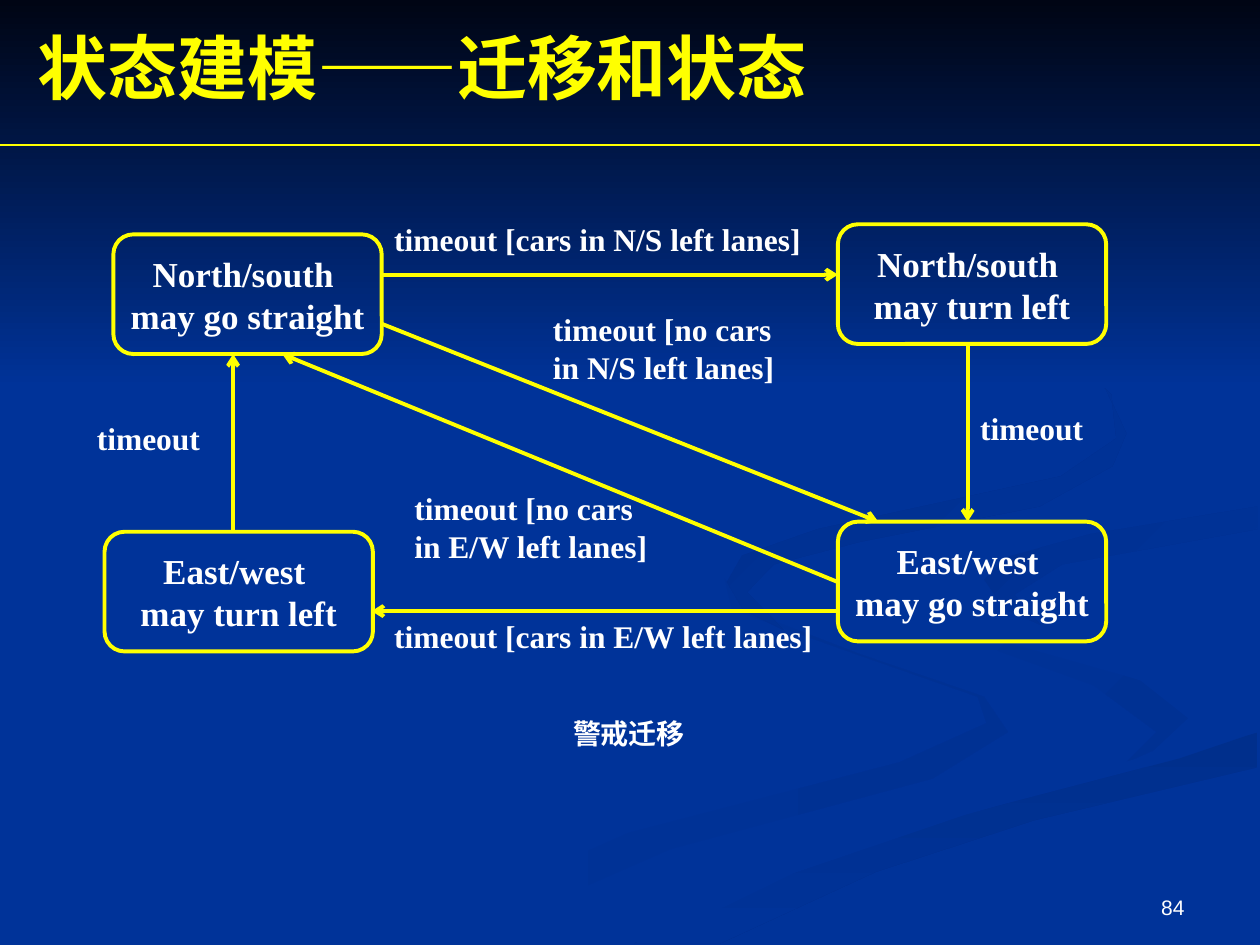
import pptx
import pptx.dml.color
import pptx.enum.dml
import pptx.enum.shapes
import pptx.enum.text
import pptx.oxml
import pptx.oxml.ns
import pptx.util

PX = 9144
WIDTH, HEIGHT = 1000, 750
NAVY, YELLOW, WHITE = "003399", "FFFF00", "FFFFFF"
SERIF, SANS = "Times New Roman", "Arial"
ALIGN = pptx.enum.text.PP_ALIGN
ANCHOR = pptx.enum.text.MSO_ANCHOR

# (start colour, end colour, clockwise angle, outline)
SWOOSHES = [
    (NAVY, "003193", 0, [
        (781, 553), (682, 519), (594, 485), (575, 459), (581, 484), (679, 519),
        (776, 553), (783, 574), (714, 605), (499, 661), (300, 749), (361, 749),
        (532, 674), (740, 618), (800, 581)]),
    (NAVY, "003193", 45, [
        (943, 570), (905, 540), (774, 503), (724, 464), (746, 500), (868, 544),
        (918, 581), (894, 605), (937, 586)]),
    ("002F8C", NAVY, 90, [
        (503, 749), (571, 749), (695, 692), (821, 651), (998, 609), (998, 581),
        (936, 602), (764, 647), (630, 693)]),
    (NAVY, NAVY, 0, [
        (725, 464), (745, 490), (905, 540), (943, 570), (911, 600), (743, 643),
        (619, 684), (477, 749), (519, 747), (630, 693), (765, 647), (999, 581),
        (999, 538), (866, 509), (781, 463), (822, 434), (999, 402), (999, 387),
        (788, 422), (732, 446)]),
    ("003091", NAVY, 45, [
        (781, 460), (797, 483), (826, 496), (805, 472), (843, 448), (998, 420),
        (998, 402), (865, 424), (799, 442)]),
    ("002F8E", NAVY, 45, [
        (683, 430), (825, 402), (883, 370), (894, 344), (873, 299), (821, 261),
        (762, 233), (846, 279), (882, 313), (886, 348), (842, 378), (649, 420),
        (589, 441), (577, 462), (590, 484), (622, 500), (593, 470), (614, 448)]),
    ("000514", NAVY, 90, [(0, 0), (0, 308), (WIDTH, 308), (WIDTH, 0)]),
]
TITLE = [("状态建模", SERIF), ("——", SANS), ("迁移和状态", SERIF)]
STATE_SIZE = (213, 95)
STATES = [
    (90, 186, "North/south ", "may go straight"),
    (83, 422, "East/west ", "may turn left"),
    (665, 178, "North/south ", "may turn left"),
    (665, 414, "East/west ", "may go straight"),
]
TRANSITIONS = [
    (303, 218, 665, 218), (768, 273, 768, 414), (665, 485, 295, 485),
    (185, 422, 185, 281), (303, 257, 697, 414), (665, 462, 224, 281),
]
LABELS = [
    (303, 170, 370, 40, "timeout [cars in N/S left lanes]", 18),
    (768, 320, 118, 40, "timeout", 18),
    (303, 485, 370, 40, "timeout [cars in E/W left lanes]", 18),
    (67, 328, 118, 40, "timeout", 18),
    (429, 241, 213, 70, "timeout [no cars in N/S left lanes]", 18),
    (319, 383, 205, 70, "timeout [no cars in E/W left lanes]", 18),
    (445, 564, 110, 37, "警戒迁移", 16),
]


def px(*lengths):
    """Turn px lengths into EMU."""
    return [pptx.util.Emu(length * PX) for length in lengths]


def color(value):
    """Turn a hex string into a colour."""
    return pptx.dml.color.RGBColor.from_string(value)


def style(paragraph, size, ink, bold=True, name=None, align=ALIGN.LEFT):
    """Set the alignment and font of a paragraph."""
    paragraph.alignment = align
    font = paragraph.font
    font.size, font.bold, font.name = pptx.util.Pt(size), bold, name
    font.color.rgb = color(ink)


def add_text(slide, box, anchor=ANCHOR.TOP):
    """Add a wrapping text box and return its first paragraph."""
    frame = slide.shapes.add_textbox(*px(*box)).text_frame
    frame.word_wrap, frame.vertical_anchor = True, anchor
    return frame.paragraphs[0]


def add_swoosh(slide, start, end, angle, outline):
    """Add a borderless background outline with its fill."""
    builder = slide.shapes.build_freeform(*outline[0], scale=PX)
    builder.add_line_segments(outline[1:], close=True)
    swoosh = builder.convert_to_shape()
    swoosh.shadow.inherit = False
    swoosh.line.fill.background()
    if start == end:
        swoosh.fill.solid()
        swoosh.fill.fore_color.rgb = color(start)
        return
    swoosh.fill.gradient()
    swoosh.fill.gradient_angle = -angle % 360
    for stop, value in zip(swoosh.fill.gradient_stops, (start, end)):
        stop.color.rgb = color(value)


def add_state(slide, left, top, *lines):
    """Add a rounded state box with centred lines."""
    kind = pptx.enum.shapes.MSO_SHAPE.ROUNDED_RECTANGLE
    state = slide.shapes.add_shape(kind, *px(left, top, *STATE_SIZE))
    state.shadow.inherit = False
    state.fill.background()
    state.line.color.rgb = color(YELLOW)
    state.line.width = pptx.util.Pt(2.25)
    frame = state.text_frame
    frame.word_wrap, frame.vertical_anchor = False, ANCHOR.MIDDLE
    frame.text = "\n".join(lines)
    for paragraph in frame.paragraphs:
        style(paragraph, 20, WHITE, name=SERIF, align=ALIGN.CENTER)


def add_line(slide, ends, width, arrow=False):
    """Add a yellow line, with an arrowhead if asked."""
    kind = pptx.enum.shapes.MSO_CONNECTOR.STRAIGHT
    line = slide.shapes.add_connector(kind, *px(*ends))
    line.line.color.rgb = color(YELLOW)
    line.line.width = pptx.util.Pt(width)
    properties = line.element.spPr
    namespace = pptx.oxml.ns.nsdecls("a")
    if arrow:
        head = pptx.oxml.parse_xml(f'<a:tailEnd {namespace} type="arrow"/>')
        properties.find(pptx.oxml.ns.qn("a:ln")).append(head)
    properties.append(pptx.oxml.parse_xml(f"<a:effectLst {namespace}/>"))


def main():
    """Build the state transition slide."""
    deck = pptx.Presentation()
    deck.slide_width, deck.slide_height = px(WIDTH, HEIGHT)
    slide = deck.slides.add_slide(deck.slide_layouts[6])
    slide.background.fill.solid()
    slide.background.fill.fore_color.rgb = color(NAVY)
    for swoosh in SWOOSHES:
        add_swoosh(slide, *swoosh)

    number = add_text(slide, (717, 683, 233, 52), ANCHOR.BOTTOM)
    number.text = "84"
    style(number, 12, WHITE, bold=False, name=SANS, align=ALIGN.RIGHT)

    title = add_text(slide, (20, 14, 900, 77), ANCHOR.MIDDLE)
    style(title, 40, YELLOW)
    for words, name in TITLE:
        run = title.add_run()
        run.text, run.font.name = words, name
    add_line(slide, (0, 115, WIDTH, 115), 0.75)

    for state in STATES:
        add_state(slide, *state)
    for ends in TRANSITIONS:
        add_line(slide, ends, 2.25, arrow=True)
    for *box, words, size in LABELS:
        label = add_text(slide, box)
        label.text = words
        style(label, size, WHITE, name=SERIF)
    deck.save("out.pptx")


if __name__ == "__main__":
    main()
